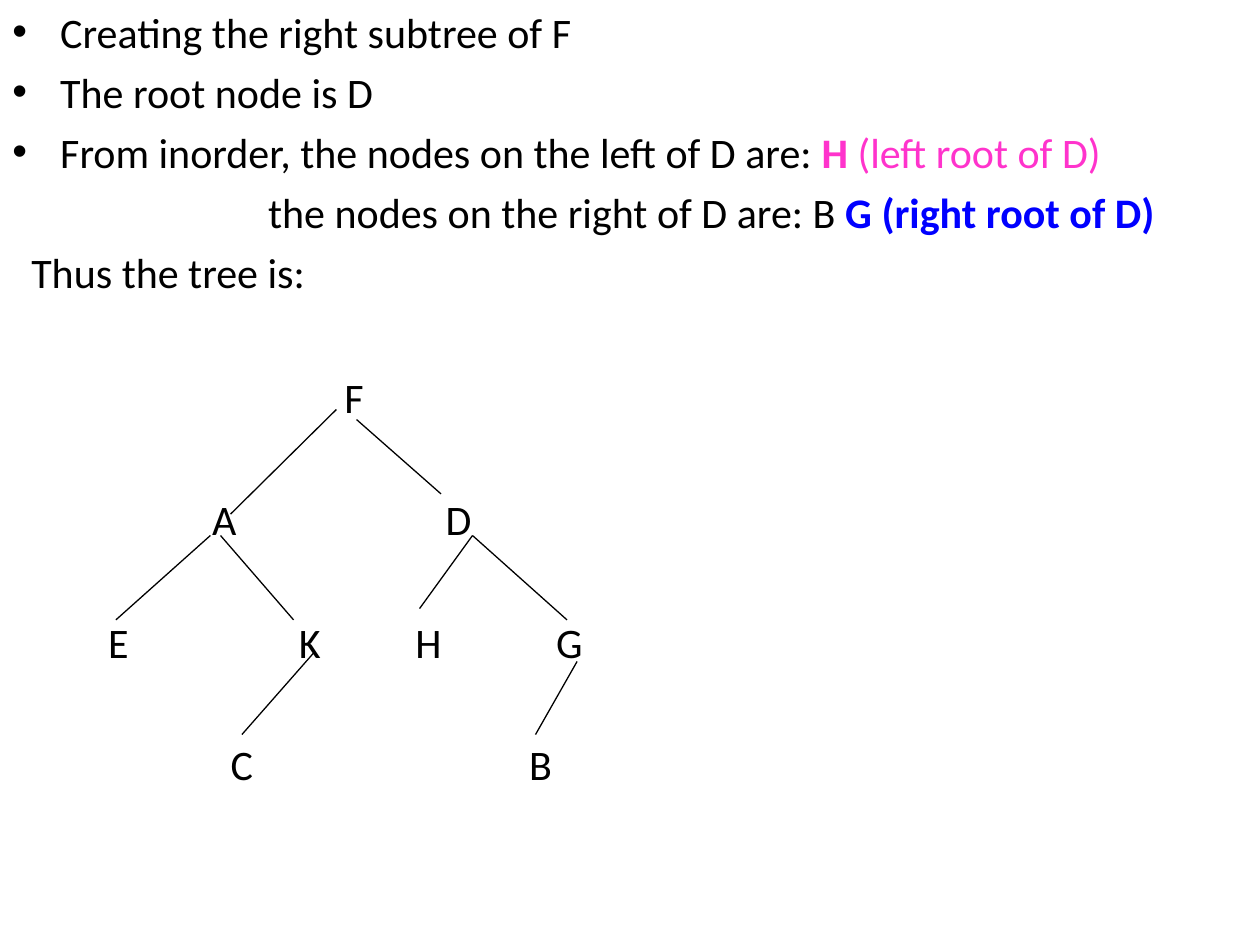
from dataclasses import dataclass

from lxml.etree import SubElement
from pptx import Presentation
from pptx.dml.color import RGBColor
from pptx.enum.shapes import MSO_CONNECTOR
from pptx.enum.text import MSO_ANCHOR, PP_ALIGN
from pptx.oxml.ns import qn
from pptx.util import Inches, Pt


@dataclass(frozen=True)
class Theme:
    font: str = "Calibri"
    size: int = 24
    gap: float = 5.5
    line: float = 0.75
    ink: RGBColor = RGBColor(0, 0, 0)
    pink: RGBColor = RGBColor(0xFF, 0x33, 0xCC)
    blue: RGBColor = RGBColor(0, 0, 0xFF)


THEME = Theme()

# Each line: left margin, hanging indent, runs of (text, colour, bold)
HANG = 0.38
LINES = [
    (HANG, True, [("Creating the right subtree of F", THEME.ink, False)]),
    (HANG, True, [("The root node is D", THEME.ink, False)]),
    (HANG, True, [
        ("From inorder, the nodes on the left of D are: ", THEME.ink, False),
        ("H", THEME.pink, True),
        (" (left root of D)", THEME.pink, False),
    ]),
    (2.03, False, [
        ("the nodes on the right of D are: B ", THEME.ink, False),
        ("G (right root of D)", THEME.blue, True),
    ]),
    (0.15, False, [("Thus the tree is:", THEME.ink, False)]),
]

# Node centres across, one dict for each level of the tree
LEVELS = [
    {"F": 2.81},
    {"A": 1.78, "D": 3.64},
    {"E": 0.94, "K": 2.46, "H": 3.4, "G": 4.52},
    {"C": 1.92, "B": 4.29},
]
STEP = 0.97
NODE_W, NODE_H = 0.4, 0.41

# Branch ends, measured from the corner of the tree
EDGES = [
    (2.67, 0.3, 1.83, 1.13),   # F to A
    (2.83, 0.38, 3.5, 0.97),   # F to D
    (1.67, 1.3, 0.92, 1.97),   # A to E
    (1.75, 1.3, 2.33, 1.97),   # A to K
    (2.5, 2.22, 1.92, 2.88),   # K to C
    (3.75, 1.3, 3.33, 1.88),   # D to H
    (3.75, 1.3, 4.5, 1.97),    # D to G
    (4.58, 2.3, 4.25, 2.88),   # G to B
]


def set_font(font):
    font.name, font.size = THEME.font, Pt(THEME.size)
    font.color.rgb = THEME.ink


def add_notes(slide, x, y, w, h):
    """Bulleted steps with their unbulleted follow-on lines."""
    box = slide.shapes.add_textbox(Inches(x), Inches(y), Inches(w), Inches(h))
    frame = box.text_frame
    frame.word_wrap = True
    for i, (left, mark, runs) in enumerate(LINES):
        para = frame.paragraphs[0] if i == 0 else frame.add_paragraph()
        if i:
            para.space_before = Pt(THEME.gap)
        props = para._p.get_or_add_pPr()
        props.set("marL", str(Inches(left)))
        props.set("indent", str(-Inches(HANG) if mark else 0))
        if mark:
            SubElement(props, qn("a:buFont")).set("typeface", "Arial")
            SubElement(props, qn("a:buChar")).set("char", "•")
        else:
            SubElement(props, qn("a:buNone"))
        set_font(para.font)
        for text, color, bold in runs:
            run = para.add_run()
            run.text = text
            run.font.color.rgb = color
            run.font.bold = bold


def add_node(slide, name, x, y):
    box = slide.shapes.add_textbox(
        Inches(x - NODE_W / 2), Inches(y), Inches(NODE_W), Inches(NODE_H))
    frame = box.text_frame
    frame.word_wrap = True
    frame.margin_left = frame.margin_right = 0
    frame.margin_top = frame.margin_bottom = 0
    frame.vertical_anchor = MSO_ANCHOR.TOP
    para = frame.paragraphs[0]
    para.text = name
    para.alignment = PP_ALIGN.CENTER
    set_font(para.font)


def add_edge(slide, x1, y1, x2, y2):
    edge = slide.shapes.add_connector(
        MSO_CONNECTOR.STRAIGHT, Inches(x1), Inches(y1), Inches(x2), Inches(y2))
    edge.line.color.rgb = THEME.ink
    edge.line.width = Pt(THEME.line)
    SubElement(edge._element.spPr, qn("a:effectLst"))


def add_tree(slide, x, y):
    """Binary tree: node letters by level, then the branches."""
    for row, nodes in enumerate(LEVELS):
        for name, mid in nodes.items():
            add_node(slide, name, x + mid, y + row * STEP)
    for x1, y1, x2, y2 in EDGES:
        add_edge(slide, x + x1, y + y1, x + x2, y + y2)


def main():
    deck = Presentation()
    deck.slide_width, deck.slide_height = Inches(10), Inches(7.5)
    slide = deck.slides.add_slide(deck.slide_layouts[6])
    add_notes(slide, 0, 0, 10, 2.5)
    add_tree(slide, 0, 2.95)
    deck.save("out.pptx")


if __name__ == "__main__":
    main()
